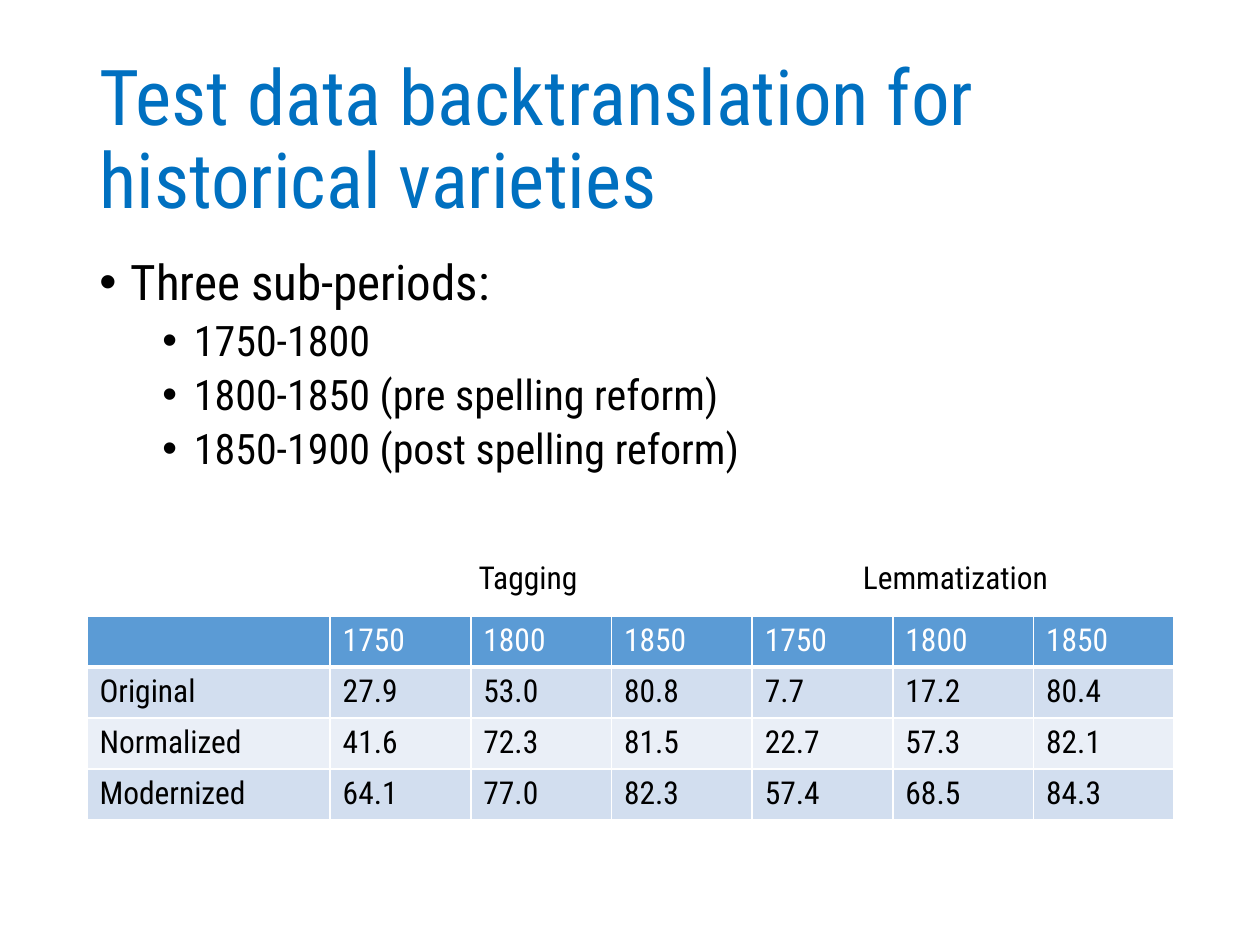
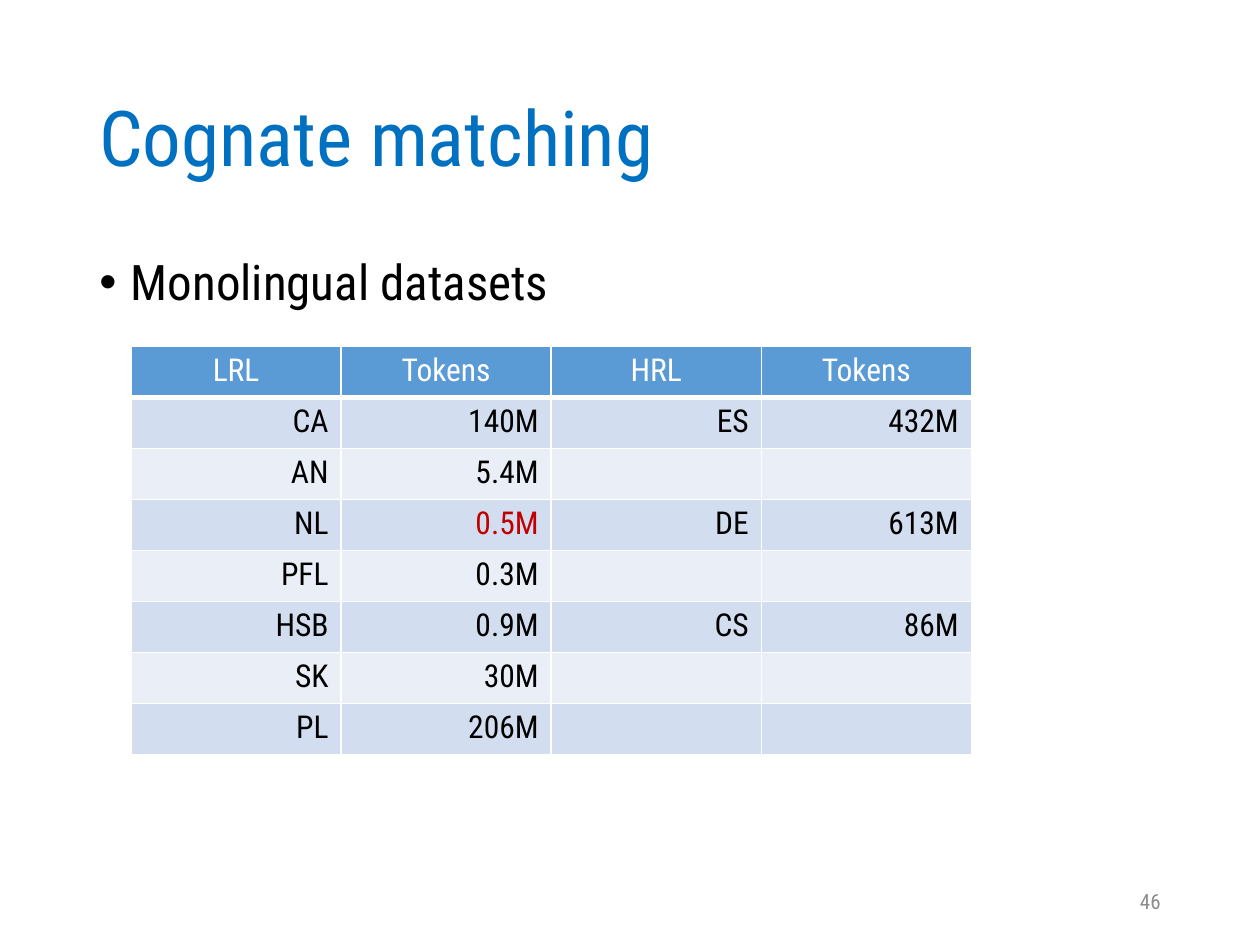
from dataclasses import dataclass

from lxml import etree
from pptx import Presentation
from pptx.dml.color import RGBColor
from pptx.enum.text import MSO_ANCHOR, PP_ALIGN
from pptx.oxml.ns import qn
from pptx.util import Inches, Pt

LEFT, CENTER, RIGHT = PP_ALIGN.LEFT, PP_ALIGN.CENTER, PP_ALIGN.RIGHT
TOP, MIDDLE = MSO_ANCHOR.TOP, MSO_ANCHOR.MIDDLE
BLANK_LAYOUT = 6


@dataclass(frozen=True)
class Theme:
    font: str = "Roboto Condensed"
    title: str = "0070C0"
    text: str = "000000"
    white: str = "FFFFFF"
    muted: str = "8C8C8C"
    highlight: str = "C00000"
    header_fill: str = "5B9BD5"
    band_fills: tuple = ("D2DEEF", "EAEFF7")
    title_size: int = 44
    bullet_sizes: tuple = (28, 24)
    bullet_spaces: tuple = (10, 5)
    table_size: int = 18
    number_size: int = 12
    line_spacing: float = 0.9


THEME = Theme()

# Boxes are left, top, width, height in inches
TITLE_BOX = (0.69, 0.4, 8.62, 1.45)
BODY_BOX = (0.69, 2, 8.62, 4.76)
NUMBER_BOX = (7.06, 6.95, 2.25, 0.4)


def write(paragraph, text, *, size, color=THEME.text, align=LEFT,
          line_spacing=None, space_before=0):
    paragraph.alignment = align
    paragraph.space_before = Pt(space_before)
    if line_spacing:
        paragraph.line_spacing = line_spacing
    run = paragraph.add_run()
    run.text = text
    run.font.name = THEME.font
    run.font.size = Pt(size)
    run.font.bold = False
    run.font.color.rgb = RGBColor.from_string(color)


def add_frame(slide, box, anchor=TOP):
    frame = slide.shapes.add_textbox(*map(Inches, box)).text_frame
    frame.word_wrap = True
    frame.vertical_anchor = anchor
    return frame


def add_label(slide, box, text, *, anchor=TOP, **text_format):
    write(add_frame(slide, box, anchor).paragraphs[0], text, **text_format)


def add_title(slide, text):
    add_label(slide, TITLE_BOX, text, anchor=MIDDLE, size=THEME.title_size,
              color=THEME.title, line_spacing=THEME.line_spacing)


def add_bullets(slide, box, items):
    """Each item is a level and its text."""
    frame = add_frame(slide, box)
    for index, (level, text) in enumerate(items):
        paragraph = frame.add_paragraph() if index else frame.paragraphs[0]
        paragraph.level = level
        properties = paragraph._p.get_or_add_pPr()
        properties.set("marL", str(Inches(0.25 + 0.5 * level)))
        properties.set("indent", str(Inches(-0.25)))
        etree.SubElement(properties, qn("a:buFont")).set("typeface", "Arial")
        etree.SubElement(properties, qn("a:buChar")).set("char", "•")
        write(paragraph, text, size=THEME.bullet_sizes[level],
              line_spacing=THEME.line_spacing,
              space_before=THEME.bullet_spaces[level] if index else 0)


def set_borders(cell, top, bottom):
    properties = cell._tc.get_or_add_tcPr()
    for side, width in (("L", 1), ("R", 1), ("T", top), ("B", bottom)):
        line = etree.SubElement(properties, qn(f"a:ln{side}"), w=str(Pt(width)))
        fill = etree.SubElement(line, qn("a:solidFill"))
        etree.SubElement(fill, qn("a:srgbClr"), val=THEME.white)


def add_data_table(slide, box, rows, *, first_width=None, header_align=LEFT,
                   body_align=LEFT, highlights=()):
    left, top, width, height = map(Inches, box)
    columns = len(rows[0])
    table = slide.shapes.add_table(
        len(rows), columns, left, top, width, height).table

    # A wider first column leaves the others to share the rest equally
    if first_width:
        table.columns[0].width = Inches(first_width)
        for index in range(1, columns):
            table.columns[index].width = (
                width - Inches(first_width)) // (columns - 1)

    for row_index, row in enumerate(rows):
        is_header = row_index == 0
        fill = (THEME.header_fill if is_header
                else THEME.band_fills[(row_index - 1) % 2])
        for column_index, text in enumerate(row):
            cell = table.cell(row_index, column_index)
            set_borders(cell, top=3 if row_index == 1 else 1,
                        bottom=3 if is_header else 1)
            cell.fill.solid()
            cell.fill.fore_color.rgb = RGBColor.from_string(fill)
            if not text:
                continue
            color = THEME.white if is_header else THEME.text
            if (row_index, column_index) in highlights:
                color = THEME.highlight
            write(cell.text_frame.paragraphs[0], text, size=THEME.table_size,
                  color=color, align=header_align if is_header else body_align)


def build_backtranslation(slide):
    add_title(slide, "Test data backtranslation for historical varieties")
    add_bullets(slide, BODY_BOX, [
        (0, "Three sub-periods:"),
        (1, "1750-1800"),
        (1, "1800-1850 (pre spelling reform)"),
        (1, "1850-1900 (post spelling reform)"),
    ])

    # Scores by period, with a heading over each group of columns
    periods = ["1750", "1800", "1850"]
    add_data_table(slide, (0.69, 4.89, 8.63, 1.62), [
        ["", *periods, *periods],
        ["Original", "27.9", "53.0", "80.8", "7.7", "17.2", "80.4"],
        ["Normalized", "41.6", "72.3", "81.5", "22.7", "57.3", "82.1"],
        ["Modernized", "64.1", "77.0", "82.3", "57.4", "68.5", "84.3"],
    ], first_width=1.93)
    for text, left, width in (("Tagging", 3.7, 1.1),
                              ("Lemmatization", 6.75, 1.87)):
        add_label(slide, (left, 4.38, width, 0.4), text, size=THEME.table_size)


def build_cognate_matching(slide):
    add_title(slide, "Cognate matching")
    add_bullets(slide, BODY_BOX, [(0, "Monolingual datasets")])
    add_label(slide, NUMBER_BOX, "46", anchor=MIDDLE, size=THEME.number_size,
              color=THEME.muted, align=RIGHT)

    # Token counts of low- and high-resource languages
    add_data_table(slide, (1.04, 2.75, 6.67, 3.24), [
        ["LRL", "Tokens", "HRL", "Tokens"],
        ["CA", "140M", "ES", "432M"],
        ["AN", "5.4M", "", ""],
        ["NL", "0.5M", "DE", "613M"],
        ["PFL", "0.3M", "", ""],
        ["HSB", "0.9M", "CS", "86M"],
        ["SK", "30M", "", ""],
        ["PL", "206M", "", ""],
    ], header_align=CENTER, body_align=RIGHT, highlights={(3, 1)})


def main():
    presentation = Presentation()
    presentation.slide_width = Inches(10)
    presentation.slide_height = Inches(7.5)
    for build in (build_backtranslation, build_cognate_matching):
        build(presentation.slides.add_slide(
            presentation.slide_layouts[BLANK_LAYOUT]))
    presentation.save("out.pptx")


if __name__ == "__main__":
    main()
